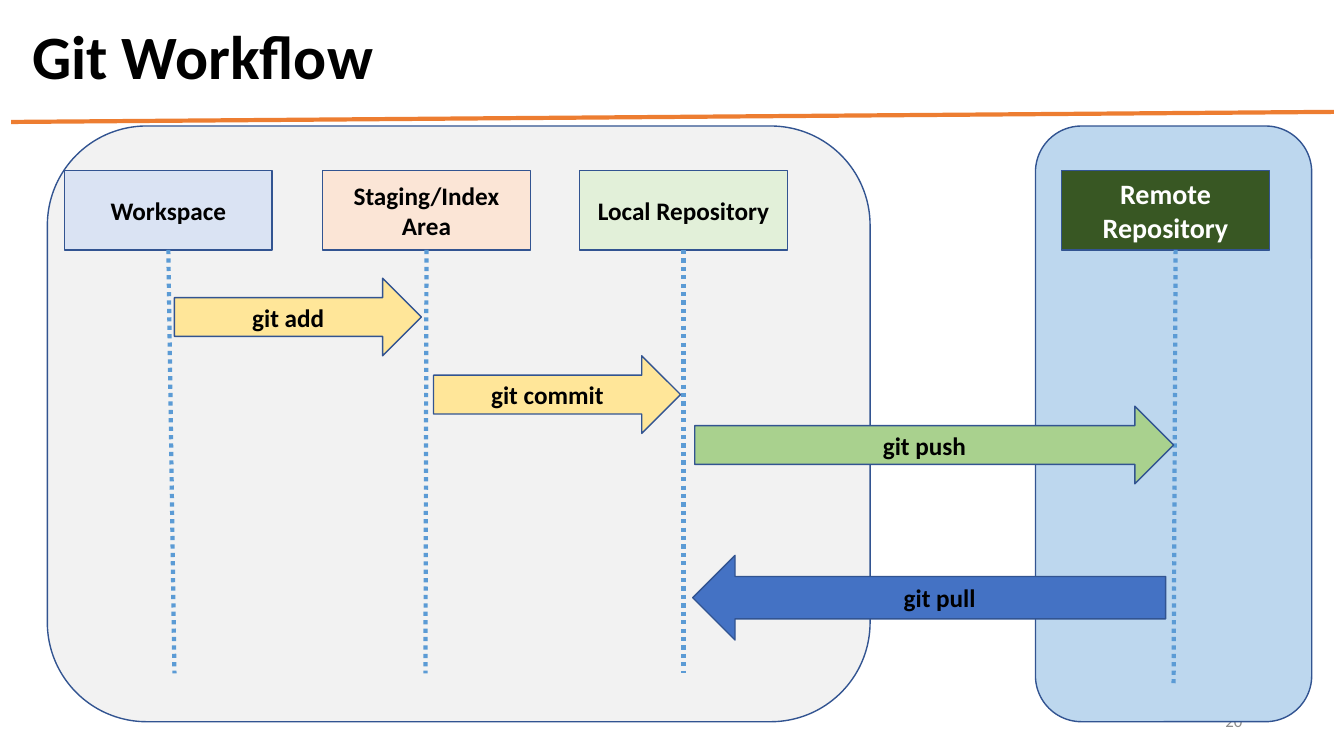
import pptx
import pptx.util
import pptx.dml.color
import pptx.enum.dml
import pptx.enum.shapes
import pptx.enum.text
import pptx.oxml.ns
import lxml.etree

PX = 9144
FONT = "Calibri"
COLORS = {
    "black": "000000",
    "white": "FFFFFF",
    "number": "8C8C8C",
    "rule": "ED7D31",
    "outline": "325491",
    "lifeline": "5B9BD5",
    "local": "F2F2F2",
    "remote": "BDD7EE",
    "workspace": "DAE3F3",
    "staging": "FBE5D6",
    "repository": "E2F0D9",
    "remote_repository": "385723",
    "stage": "FFE699",
    "push": "A9D18E",
    "pull": "4472C4",
}
SHAPE = pptx.enum.shapes.MSO_SHAPE
ALIGN = pptx.enum.text.PP_ALIGN


def px(*lengths):
    return [pptx.util.Emu(n * PX) for n in lengths]


def rgb(name):
    return pptx.dml.color.RGBColor.from_string(COLORS[name])


def write(tf, text, size, color="black", bold=True, align=ALIGN.CENTER):
    tf.text = text
    tf.word_wrap = True
    tf.vertical_anchor = pptx.enum.text.MSO_ANCHOR.MIDDLE
    p = tf.paragraphs[0]
    p.alignment = align
    font = p.runs[0].font
    font.name = FONT
    font.size = pptx.util.Pt(size)
    font.bold = bold
    font.color.rgb = rgb(color)
    return p


def add_title(s, text):
    title = s.shapes.title
    title.left, title.top, title.width, title.height = px(22, 19, 1150, 80)
    p = write(title.text_frame, text, 44, align=ALIGN.LEFT)
    p.line_spacing = 0.9


def add_slide_number(s, text):
    sp = s.shapes.add_textbox(*px(942, 695, 300, 40))
    write(sp.text_frame, text, 12, "number", False, ALIGN.RIGHT)


def add_block(s, kind, box, fill, text=None, size=18, color="black"):
    sp = s.shapes.add_shape(kind, *px(*box))
    sp.shadow.inherit = False
    sp.fill.solid()
    sp.fill.fore_color.rgb = rgb(fill)
    sp.line.color.rgb = rgb("outline")
    sp.line.width = pptx.util.Pt(1)
    if text:
        write(sp.text_frame, text, size, color)


def add_line(s, ends, color, dash=None):
    line = s.shapes.add_connector(
        pptx.enum.shapes.MSO_CONNECTOR.STRAIGHT, *px(*ends))
    line.line.color.rgb = rgb(color)
    line.line.width = pptx.util.Pt(3)
    if dash:
        line.line.dash_style = dash
    sp_pr = line._element.spPr
    lxml.etree.SubElement(sp_pr, pptx.oxml.ns.qn("a:effectLst"))


def main():
    prs = pptx.Presentation()
    prs.slide_width, prs.slide_height = px(1333, 750)
    s = prs.slides.add_slide(prs.slide_layouts[5])

    add_line(s, (11, 121, 1323, 111), "rule")
    add_title(s, "Git Workflow")
    add_slide_number(s, "20")

    for left, width, fill in ((1027, 274, "remote"), (47, 816, "local")):
        add_block(s, SHAPE.ROUNDED_RECTANGLE, (left, 125, width, 591), fill)

    stages = (
        (64, "workspace", "Workspace", 18, "black", 173, 668),
        (320, "staging", "Staging/Index Area", 18, "black", 422, 668),
        (575, "repository", "Local Repository", 18, "black", 678, 668),
        (1053, "remote_repository", "Remote Repository", 20, "white", 1164, 679),
    )
    for left, fill, text, size, color, end_x, end_y in stages:
        add_block(s, SHAPE.RECTANGLE, (left, 169, 206, 79), fill, text, size, color)
        start_x = 1166 if fill == "remote_repository" else left + 103
        add_line(s, (start_x, 248, end_x, end_y), "lifeline",
                 pptx.enum.dml.MSO_LINE.ROUND_DOT)

    commands = (
        (SHAPE.RIGHT_ARROW, (173, 276, 245, 77), "stage", "git add"),
        (SHAPE.RIGHT_ARROW, (430, 353, 245, 77), "stage", "git commit"),
        (SHAPE.RIGHT_ARROW, (689, 403, 475, 77), "push", "git push"),
        (SHAPE.LEFT_ARROW, (687, 551, 469, 84), "pull", "git pull"),
    )
    for kind, box, fill, text in commands:
        add_block(s, kind, box, fill, text)

    prs.save("out.pptx")


if __name__ == "__main__":
    main()
